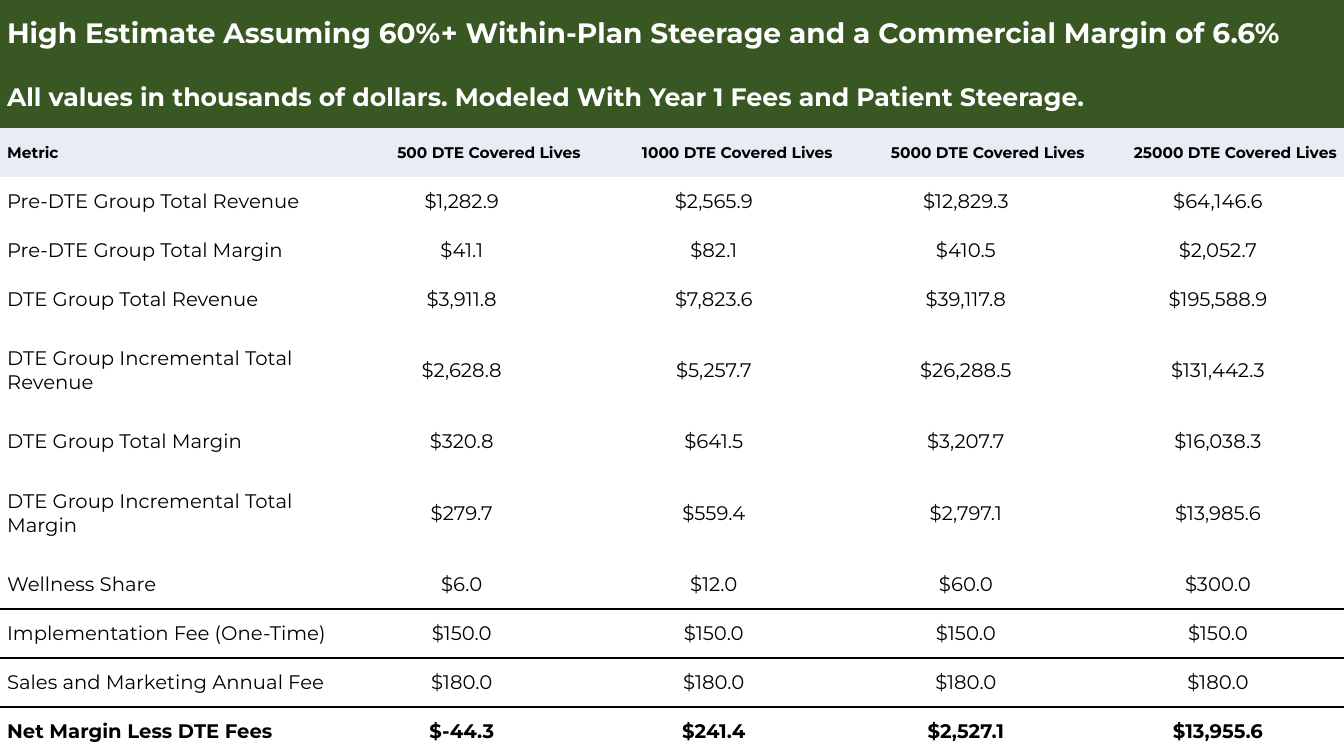
import pptx
import pptx.dml.color
import pptx.enum.text
import pptx.oxml
import pptx.oxml.ns
import pptx.util

Inches = pptx.util.Inches
RGB = pptx.dml.color.RGBColor
Align = pptx.enum.text.PP_ALIGN

GREEN = RGB(0x38, 0x57, 0x23)
PALE = RGB(0xE7, 0xEC, 0xF5)
WHITE = RGB(0xFF, 0xFF, 0xFF)
BLACK = RGB(0x00, 0x00, 0x00)

FONT = "Montserrat"
PLAIN_STYLE = "{2D5ABB26-0587-4C30-8999-92F81FD0307C}"
WIDTH, HEIGHT = 13.33, 7.5
COLS = [3.33] + [2.5] * 4
TALL = 0.93
PAD = 0.07

TITLES = [
    ("High Estimate Assuming 60%+ Within-Plan Steerage and a Commercial Margin of 6.6%", 20, 0.67),
    ("All values in thousands of dollars. Modeled With Year 1 Fees and Patient Steerage.", 18, 0.6),
]
HEADS = ["Metric"] + [f"{lives} DTE Covered Lives" for lives in (500, 1000, 5000, 25000)]
METRICS = [
    ("Pre-DTE Group Total Revenue", "$1,282.9", "$2,565.9", "$12,829.3", "$64,146.6"),
    ("Pre-DTE Group Total Margin", "$41.1", "$82.1", "$410.5", "$2,052.7"),
    ("DTE Group Total Revenue", "$3,911.8", "$7,823.6", "$39,117.8", "$195,588.9"),
    ("DTE Group Incremental Total Revenue", "$2,628.8", "$5,257.7", "$26,288.5", "$131,442.3"),
    ("DTE Group Total Margin", "$320.8", "$641.5", "$3,207.7", "$16,038.3"),
    ("DTE Group Incremental Total Margin", "$279.7", "$559.4", "$2,797.1", "$13,985.6"),
    ("Wellness Share", "$6.0", "$12.0", "$60.0", "$300.0"),
    ("Implementation Fee (One-Time)",) + ("$150.0",) * 4,
    ("Sales and Marketing Annual Fee",) + ("$180.0",) * 4,
    ("Net Margin Less DTE Fees", "$-44.3", "$241.4", "$2,527.1", "$13,955.6"),
]
RULED = ("Wellness Share", "Sales and Marketing Annual Fee")
TOTAL = "Net Margin Less DTE Fees"


def write(frame, text, size=14, color=BLACK, bold=False, align=Align.LEFT):
    para = frame.paragraphs[0]
    para.alignment = align
    props = para._p.get_or_add_pPr()
    for side in ("marL", "marR"):
        props.set(side, str(Inches(PAD)))
    props.set("indent", "0")
    run = para.add_run()
    run.text = text
    font = run.font
    font.name, font.size, font.bold = FONT, pptx.util.Pt(size), bold
    font.color.rgb = color


class Deck:
    def __init__(self):
        self.show = pptx.Presentation()
        self.show.slide_width = Inches(WIDTH)
        self.show.slide_height = Inches(HEIGHT)
        self.slide = self.show.slides.add_slide(self.show.slide_layouts[6])

    def table(self, cols, rows):
        """Add an unstyled table with the given column widths and row heights."""
        frame = self.slide.shapes.add_table(
            len(rows), len(cols), 0, 0, Inches(sum(cols)), Inches(sum(rows)))
        grid = frame.table
        grid.first_row = grid.horz_banding = False
        grid._tbl.tblPr.find(pptx.oxml.ns.qn("a:tableStyleId")).text = PLAIN_STYLE
        for col, width in zip(grid.columns, cols):
            col.width = Inches(width)
        for row, height in zip(grid.rows, rows):
            row.height = Inches(height)
        return grid

    def cell(self, cell, text, fill=None, **style):
        cell.margin_left = cell.margin_right = cell.margin_top = cell.margin_bottom = 0
        cell.vertical_anchor = pptx.enum.text.MSO_ANCHOR.MIDDLE
        if fill is None:
            cell.fill.background()
        else:
            cell.fill.solid()
            cell.fill.fore_color.rgb = fill
        write(cell.text_frame, text, **style)

    def rule(self, cell, edge):
        """Draw a thin black border on one edge, lnT or lnB."""
        line = pptx.oxml.parse_xml(
            f'<a:{edge} {pptx.oxml.ns.nsdecls("a")} w="{pptx.util.Pt(1)}">'
            f'<a:solidFill><a:srgbClr val="{BLACK}"/></a:solidFill></a:{edge}>')
        cell._tc.get_or_add_tcPr().insert(0, line)


def main():
    deck = Deck()
    tops = [height for _, _, height in TITLES]
    tall = [len(row[0]) > 32 for row in METRICS]
    short = (HEIGHT - sum(tops) - TALL * sum(tall)) / (1 + tall.count(False))
    rows = tops + [short] + [TALL if big else short for big in tall]
    grid = deck.table(COLS, rows)

    for r, (text, size, _) in enumerate(TITLES):
        first = grid.cell(r, 0)
        first.merge(grid.cell(r, len(COLS) - 1))
        deck.cell(first, text, GREEN, size=size, color=WHITE, bold=True)

    for c, text in enumerate(HEADS):
        deck.cell(grid.cell(len(TITLES), c), text, PALE, size=11, bold=True,
                  align=Align.RIGHT if c else Align.LEFT)

    above = None
    for r, row in enumerate(METRICS, len(TITLES) + 1):
        for c, text in enumerate(row):
            cell = grid.cell(r, c)
            deck.cell(cell, text, bold=row[0] == TOTAL,
                      align=Align.CENTER if c else Align.LEFT)
            if row[0] in RULED:
                deck.rule(cell, "lnB")
            if above in RULED:
                deck.rule(cell, "lnT")
        above = row[0]

    deck.show.save("out.pptx")


if __name__ == "__main__":
    main()
